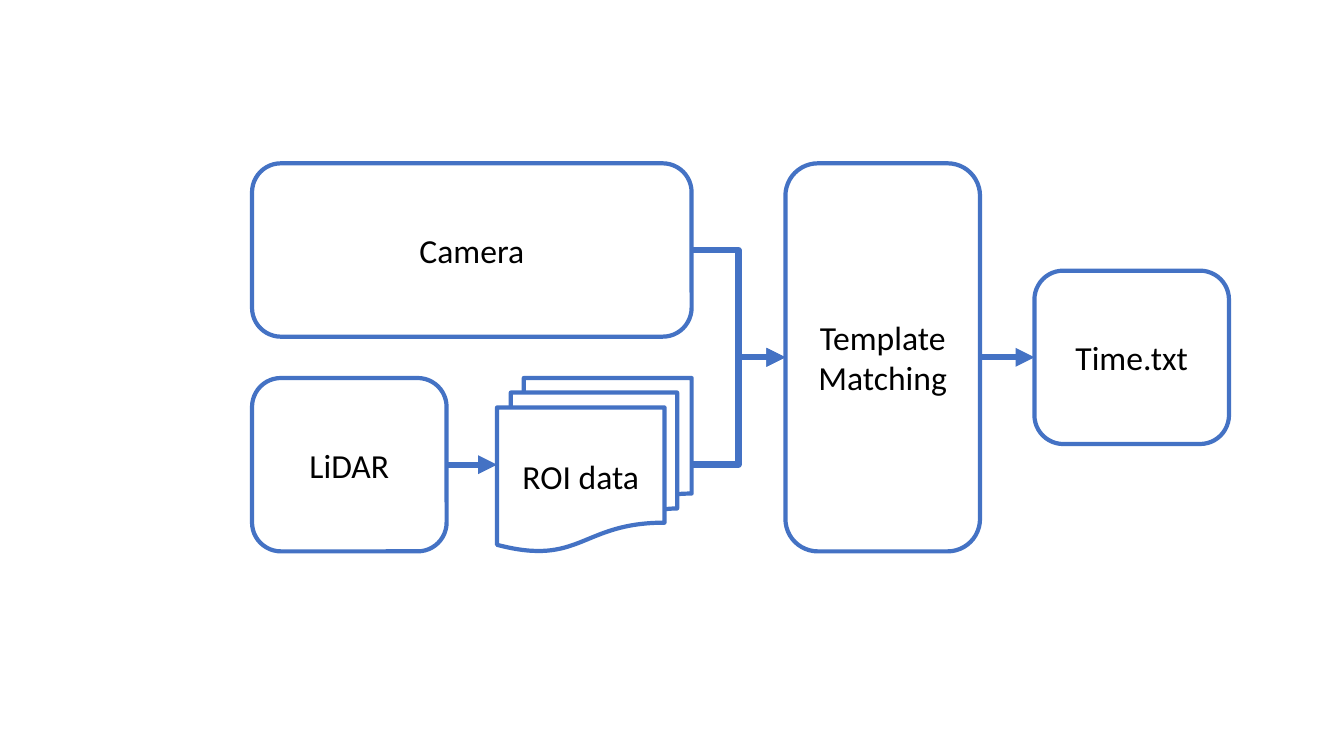
from lxml import etree
from pptx import Presentation
from pptx.dml.color import RGBColor
from pptx.enum import shapes, text
from pptx.oxml import ns
from pptx import util as u

BLUE = RGBColor(0x44, 0x72, 0xC4)
WHITE = RGBColor(0xFF, 0xFF, 0xFF)
BLACK = RGBColor(0x00, 0x00, 0x00)

COLUMNS = (2.5, 4.93, 7.79, 10.26)
TOP, ROW_PITCH = 1.62, 2.13
BOX_WIDTH, BOX_HEIGHT = 1.93, 1.72
LEFT_SITE, RIGHT_SITE = 1, 3

PROCESS = shapes.MSO_SHAPE.FLOWCHART_ALTERNATE_PROCESS
DOCUMENTS = shapes.MSO_SHAPE.FLOWCHART_MULTIDOCUMENT
STRAIGHT = shapes.MSO_CONNECTOR.STRAIGHT
ELBOW = shapes.MSO_CONNECTOR.ELBOW


class FlowChart:
    """Draws boxes on a grid of columns and rows, and arrows between them."""

    def __init__(self, page):
        self.page = page
        self.font, self.size = "Calibri", u.Pt(24)
        self.outline, self.arrow_line = u.Pt(3), u.Pt(4.5)

    def box(self, label, column, row, columns=1, rows=1, kind=PROCESS):
        left = COLUMNS[column]
        width = COLUMNS[column + columns - 1] + BOX_WIDTH - left
        height = (rows - 1) * ROW_PITCH + BOX_HEIGHT
        box = self.page.shapes.add_shape(
            kind, u.Inches(left), u.Inches(TOP + row * ROW_PITCH),
            u.Inches(width), u.Inches(height))
        box.shadow.inherit = False
        box.fill.solid()
        box.fill.fore_color.rgb = WHITE
        box.line.color.rgb = BLUE
        box.line.width = self.outline
        frame = box.text_frame
        frame.word_wrap = True
        frame.vertical_anchor = text.MSO_ANCHOR.MIDDLE
        para = frame.paragraphs[0]
        para.text = label
        para.alignment = text.PP_ALIGN.CENTER
        para.font.name, para.font.size = self.font, self.size
        para.font.color.rgb = BLACK
        return box

    def arrow(self, source, target, kind=STRAIGHT):
        arrow = self.page.shapes.add_connector(
            kind, source.left + source.width, source.top + source.height // 2,
            target.left, target.top + target.height // 2)
        arrow.begin_connect(source, RIGHT_SITE)
        arrow.end_connect(target, LEFT_SITE)
        arrow.line.color.rgb = BLUE
        arrow.line.width = self.arrow_line
        etree.SubElement(arrow.line._get_or_add_ln(), ns.qn("a:tailEnd"), type="triangle")
        etree.SubElement(arrow._element.spPr, ns.qn("a:effectLst"))


def main():
    deck = Presentation()
    deck.slide_width, deck.slide_height = u.Inches(13.33), u.Inches(7.5)
    chart = FlowChart(deck.slides.add_slide(deck.slide_layouts[6]))

    lidar = chart.box("LiDAR", 0, 1)
    roi_data = chart.box("ROI data", 1, 1, kind=DOCUMENTS)
    matching = chart.box("Template Matching", 2, 0, rows=2)
    camera = chart.box("Camera", 0, 0, columns=2)
    time_file = chart.box("Time.txt", 3, 0.5)

    chart.arrow(lidar, roi_data)
    chart.arrow(matching, time_file)
    for sensor in (roi_data, camera):
        chart.arrow(sensor, matching, ELBOW)

    deck.save("out.pptx")


if __name__ == "__main__":
    main()
